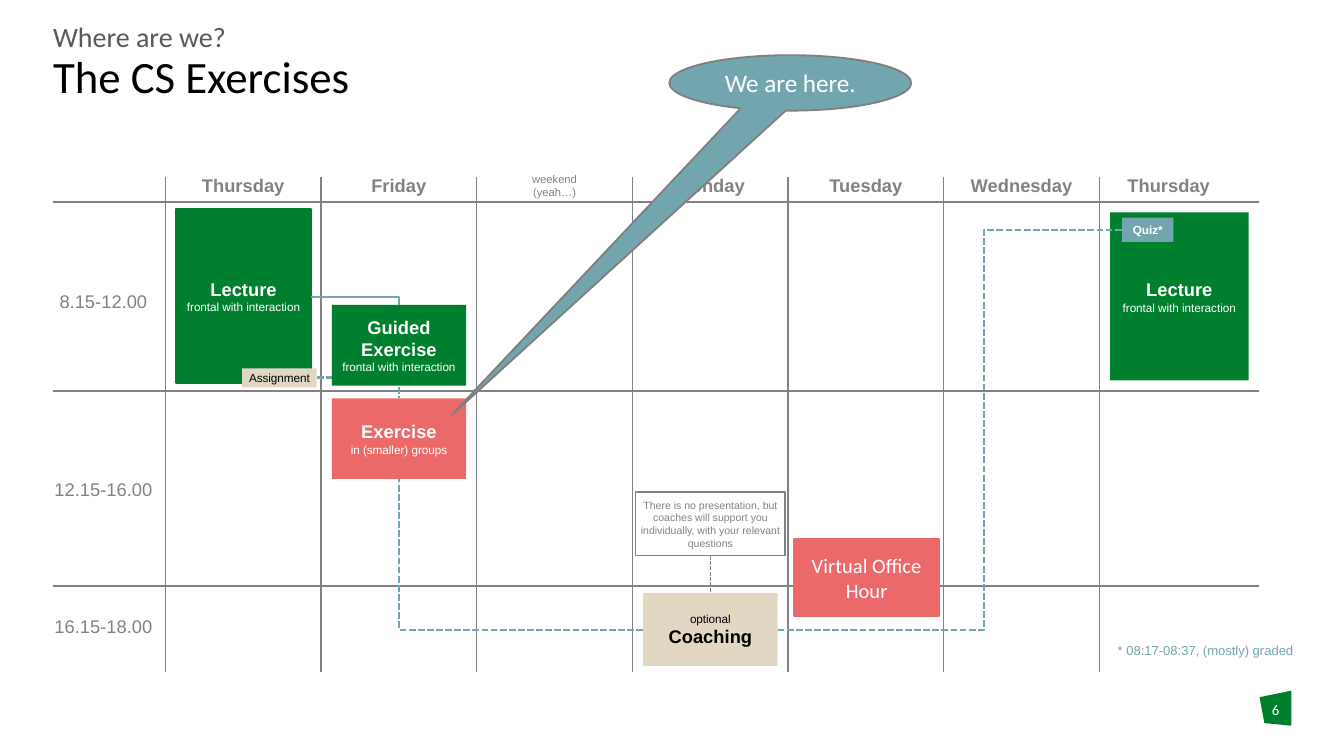
from dataclasses import dataclass

from pptx import Presentation
from pptx.dml.color import RGBColor
from pptx.enum.dml import MSO_LINE_DASH_STYLE as Dash
from pptx.enum.shapes import MSO_CONNECTOR as Connector, MSO_SHAPE as Preset
from pptx.enum.text import MSO_ANCHOR as Anchor, PP_ALIGN as Align
from pptx.oxml.ns import qn
from pptx.oxml.xmlchemy import OxmlElement
from pptx.util import Pt


@dataclass(frozen=True)
class Theme:
    green: str = "00802F"
    red: str = "EB6969"
    teal: str = "73A5AF"
    sand: str = "E1D7C3"
    gray: str = "818284"
    outline: str = "808080"
    subtitle: str = "595959"
    black: str = "000000"
    white: str = "FFFFFF"
    body_font: str = "Arial"
    title_font: str = "Calibri"
    title_size: float = 24
    subtitle_size: float = 15
    callout_size: float = 13.5
    office_size: float = 11
    label_size: float = 9.8
    page_size: float = 8
    footnote_size: float = 7
    small_size: float = 6.3
    weekend_size: float = 6
    note_size: float = 5.6
    grid_width: float = 0.7
    flow_width: float = 1.23


THEME = Theme()

# Timetable grid, in points
LEFT, RIGHT, TOP, BOTTOM = 28.4, 674.6, 95, 360
FIRST_COLUMN, COLUMN_WIDTH = 88.6, 83.4
ROW_LINES = (108.2, 209.5, 314)
DAYS = ("Thursday", "Friday", "weekend\n(yeah…)", "Monday",
        "Tuesday", "Wednesday", "Thursday")
TIMES = (("8.15-12.00", 151.2), ("12.15-16.00", 252), ("16.15-18.00", 325.4))
INSETS = (5, 2.9)


def write(shape, text, size=THEME.label_size, color=THEME.white, font=THEME.body_font,
          bold=False, align=Align.CENTER, anchor=Anchor.MIDDLE, insets=(0, 0),
          wrap=True, spacing=None, small=None):
    """Write one paragraph per line; the line number in small is set in small type."""
    frame = shape.text_frame
    frame.word_wrap = wrap
    frame.vertical_anchor = anchor
    frame.margin_left = frame.margin_right = Pt(insets[0])
    frame.margin_top = frame.margin_bottom = Pt(insets[1])
    for index, line in enumerate(text.split("\n")):
        paragraph = frame.add_paragraph() if index else frame.paragraphs[0]
        paragraph.alignment = align
        if spacing:
            paragraph.line_spacing = spacing
        run = paragraph.add_run()
        run.text = line
        run.font.name = font
        run.font.size = Pt(THEME.small_size if index == small else size)
        run.font.bold = bold and index != small
        run.font.color.rgb = RGBColor.from_string(color)


def paint(shape, fill=None, line=None, width=1):
    shape.shadow.inherit = False
    if fill:
        shape.fill.solid()
        shape.fill.fore_color.rgb = RGBColor.from_string(fill)
    else:
        shape.fill.background()
    if line:
        shape.line.color.rgb = RGBColor.from_string(line)
        shape.line.width = Pt(width)
    else:
        shape.line.fill.background()


def add_label(slide, box, text, **text_format):
    shape = slide.shapes.add_textbox(*map(Pt, box))
    write(shape, text, **text_format)


def add_box(slide, box, text, fill=None, line=None, width=1,
            preset=Preset.RECTANGLE, **text_format):
    shape = slide.shapes.add_shape(preset, *map(Pt, box))
    paint(shape, fill, line, width)
    write(shape, text, **text_format)
    return shape


def add_line(slide, start, end, color=THEME.gray, width=THEME.grid_width,
             dashed=False, kind=Connector.STRAIGHT):
    line = slide.shapes.add_connector(kind, *map(Pt, (*start, *end)))
    line.line.color.rgb = RGBColor.from_string(color)
    line.line.width = Pt(width)
    if dashed:
        line.line.dash_style = Dash.SQUARE_DOT
    line._element.spPr.append(OxmlElement("a:effectLst"))
    return line


def add_flow(slide, start, end, dashed=True, bend=None):
    """Elbow with one corner, or with two corners at the share bend of its width."""
    flow = add_line(slide, start, end, THEME.teal, THEME.flow_width, dashed, Connector.ELBOW)
    geometry = flow._element.spPr.find(qn("a:prstGeom"))
    if bend is None:
        geometry.set("prst", "bentConnector2")
        return
    guide = OxmlElement("a:gd")
    guide.set("name", "adj1")
    guide.set("fmla", f"val {round(bend * 100000)}")
    geometry.get_or_add_avLst().append(guide)


def add_heading(slide):
    add_label(slide, (LEFT, 8, 663, 23), "Where are we?", size=THEME.subtitle_size,
              font=THEME.title_font, color=THEME.subtitle, align=Align.LEFT)
    add_label(slide, (LEFT, 29.5, 663, 48), "The CS Exercises", size=THEME.title_size,
              font=THEME.title_font, color=THEME.black, align=Align.LEFT,
              anchor=Anchor.TOP, spacing=0.9)


def add_grid(slide):
    for y in ROW_LINES:
        add_line(slide, (LEFT, y), (RIGHT, y))
    for index, day in enumerate(DAYS):
        x = FIRST_COLUMN + index * COLUMN_WIDTH
        add_line(slide, (x, TOP), (x, BOTTOM))
        weekend = "\n" in day
        width = 74.2 if index == len(DAYS) - 1 else COLUMN_WIDTH
        add_label(slide, (x, 90, width, 18.7), day, color=THEME.gray, bold=not weekend,
                  size=THEME.weekend_size if weekend else THEME.label_size, wrap=False)
    for time, y in TIMES:
        add_label(slide, (LEFT, y, 54, 20.2), time, color=THEME.gray, wrap=False)


def add_sessions(slide):
    session = dict(bold=True, small=1, insets=INSETS)
    add_flow(slide, (169.9, 202.3), (213.8, 213.1))
    add_box(slide, (94.5, 112.1, 72, 92.9), "Lecture\nfrontal with interaction",
            THEME.green, THEME.green, **session)
    add_box(slide, (594.7, 113.8, 74.2, 90), "Lecture\nfrontal with interaction",
            THEME.green, **session)
    add_box(slide, (177.8, 163.4, 72, 43.2), "Guided Exercise\nfrontal with interaction",
            THEME.green, **session)
    add_box(slide, (177.8, 213.4, 72, 43.2), "Exercise\nin (smaller) groups",
            THEME.red, **session)
    coaching = add_box(slide, (344.6, 317.6, 72, 39.2), "optional\nCoaching", THEME.sand,
                       color=THEME.black, bold=True, small=0, insets=INSETS)
    note = add_box(slide, (340.6, 263.6, 80, 34.2),
                   "There is no presentation, but coaches will support you individually, "
                   "with your relevant questions", line=THEME.gray, width=THEME.grid_width,
                   size=THEME.note_size, color=THEME.gray)
    link = add_line(slide, (380.6, 297.8), (380.6, 317.6), dashed=True)
    link.begin_connect(note, 2)
    link.end_connect(coaching, 0)

    # Path through the week
    add_flow(slide, (166.5, 159.2), (213.8, 163.4), dashed=False)
    add_flow(slide, (344.6, 337.4), (213.8, 256.6))
    add_flow(slide, (416.6, 337.4), (601.2, 123.1), bend=0.6)

    # Tags and office hour
    tag = dict(size=THEME.small_size)
    add_box(slide, (601.2, 116.6, 27.4, 13), "Quiz*", THEME.teal, bold=True, **tag)
    add_box(slide, (129.8, 197.3, 39.9, 10.3), "Assignment", THEME.sand,
            color=THEME.black, **tag)
    add_box(slide, (425.5, 288.7, 77.6, 41.5), "Virtual Office Hour", THEME.red, THEME.red,
            size=THEME.office_size, font=THEME.title_font, insets=(7.2, 3.6))


def add_callout(slide):
    callout = add_box(slide, (358.6, 29.6, 129.6, 29.7), "We are here.", THEME.teal,
                      THEME.outline, preset=Preset.OVAL_CALLOUT, size=THEME.callout_size,
                      font=THEME.title_font, insets=(7.2, 3.6))
    callout.adjustments[0] = -1.4
    callout.adjustments[1] = 5.99


def add_footer(slide):
    add_label(slide, (583.2, 342.7, 109.6, 10.1), "* 08:17-08:37, (mostly) graded",
              size=THEME.footnote_size, color=THEME.teal, align=Align.RIGHT,
              anchor=Anchor.BOTTOM)
    corners = [(Pt(x), Pt(y)) for x, y in
               ((674.8, 373.5), (691.8, 370), (691.8, 388.8), (677.4, 387.4))]
    builder = slide.shapes.build_freeform(*corners[0])
    builder.add_line_segments(corners[1:], close=True)
    paint(builder.convert_to_shape(), THEME.green)
    add_label(slide, (674.8, 375.1, 17.3, 21.6), "6", size=THEME.page_size,
              font=THEME.title_font, anchor=Anchor.TOP)


def main():
    presentation = Presentation()
    presentation.slide_width, presentation.slide_height = Pt(720), Pt(405)
    slide = presentation.slides.add_slide(presentation.slide_layouts[6])
    add_heading(slide)
    add_grid(slide)
    add_sessions(slide)
    add_callout(slide)
    add_footer(slide)
    presentation.save("out.pptx")


if __name__ == "__main__":
    main()
